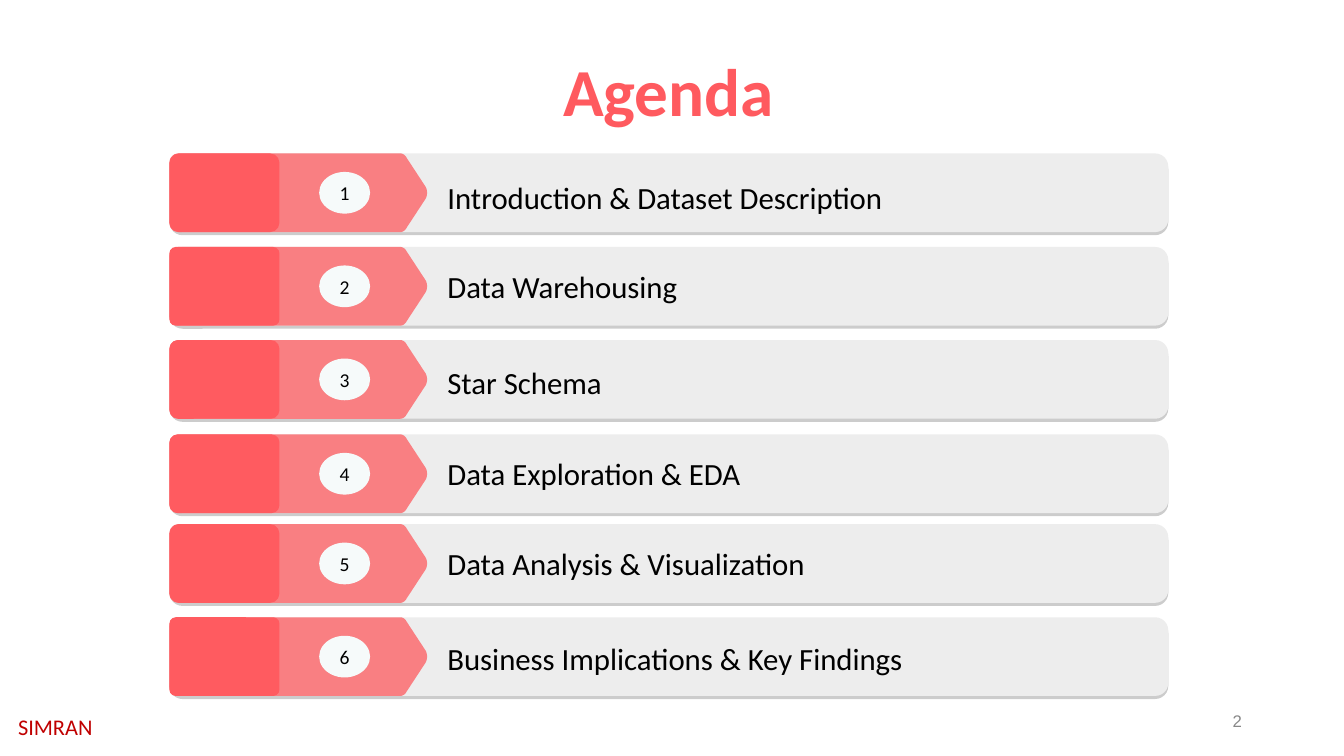
from dataclasses import dataclass

from lxml import etree
from pptx import Presentation
from pptx.dml.color import RGBColor
from pptx.enum.shapes import MSO_SHAPE
from pptx.enum.text import MSO_ANCHOR, MSO_AUTO_SIZE, PP_ALIGN
from pptx.oxml.ns import qn
from pptx.util import Pt

ROUND, OVAL = MSO_SHAPE.ROUNDED_RECTANGLE, MSO_SHAPE.OVAL
MIDDLE, TOP = MSO_ANCHOR.MIDDLE, MSO_ANCHOR.TOP
LEFT, CENTER, RIGHT = PP_ALIGN.LEFT, PP_ALIGN.CENTER, PP_ALIGN.RIGHT
FIXED = MSO_AUTO_SIZE.NONE

BAR_X, BAR_W, BAR_H = 121, 713.5, 56.2
STEPS = 8
ARROW = [
    ((6.5, 0), (2.9, 0), (0, 2.9), (0, 6.8)),
    ((0, 49.4), (0, 53.3), (2.9, 56.2), (6.5, 56.2)),
    ((165, 56.2), (166.5, 56.2), (168.5, 55), (169.3, 53.3)),
    ((183, 32.4), (184.4, 29.8), (184.4, 26.4), (183, 23.8)),
    ((169.3, 2.9), (168.5, 1.2), (166.5, 0), (165, 0)),
]


@dataclass
class Row:
    label: str
    top: float
    text_top: float
    corner: float


ROWS = [
    Row("Introduction & Dataset Description", 109.6, 106.2, 0.12),
    Row("Data Warehousing", 176.4, 169.4, 0.08),
    Row("Star Schema", 242.9, 238.3, 0.11),
    Row("Data Exploration & EDA", 310.3, 303.4, 0.1),
    Row("Data Analysis & Visualization", 374.4, 367.7, 0.12),
    Row("Business Implications & Key Findings", 440.9, 435.5, 0.08),
]


def color(code: str) -> RGBColor:
    return RGBColor.from_string(code)


def write(shape, text: str, *, size: float, ink: str = "000000",
          font: str = "Calibri", bold: bool = False, align=LEFT,
          anchor=MIDDLE, pad: float = 7.2, line: float = 1.0) -> None:
    frame = shape.text_frame
    frame.word_wrap = True
    frame.auto_size = FIXED
    frame.vertical_anchor = anchor
    frame.margin_left = frame.margin_right = Pt(7.2)
    frame.margin_top = frame.margin_bottom = Pt(pad)
    para = frame.paragraphs[0]
    para.alignment = align
    para.line_spacing = line
    run = para.add_run()
    run.text = text
    run.font.name = font
    run.font.size = Pt(size)
    run.font.bold = bold
    run.font.color.rgb = color(ink)


def add_text(slide, text: str, x: float, y: float, w: float, h: float,
             **style) -> None:
    write(slide.shapes.add_textbox(Pt(x), Pt(y), Pt(w), Pt(h)), text, **style)


def paint(shape, fill: str) -> None:
    shape.shadow.inherit = False
    shape.fill.solid()
    shape.fill.fore_color.rgb = color(fill)
    shape.line.fill.background()


def add_box(slide, kind, x: float, y: float, w: float, h: float, fill: str):
    shape = slide.shapes.add_shape(kind, Pt(x), Pt(y), Pt(w), Pt(h))
    paint(shape, fill)
    return shape


def add_shade(shape) -> None:
    effects = shape._element.spPr.find(qn("a:effectLst"))
    shade = etree.SubElement(effects, qn("a:outerShdw"), dist=str(Pt(2.2)),
                             dir="5400000", algn="t", rotWithShape="0")
    tint = etree.SubElement(shade, qn("a:srgbClr"), val="000000")
    etree.SubElement(tint, qn("a:alpha"), val="20000")


def bend(curve) -> list[tuple[float, float]]:
    points = []
    for step in range(STEPS + 1):
        t = step / STEPS
        parts = ((1 - t) ** 3, 3 * t * (1 - t) ** 2, 3 * t * t * (1 - t), t ** 3)
        points.append((sum(p * c[0] for p, c in zip(parts, curve)),
                       sum(p * c[1] for p, c in zip(parts, curve))))
    return points


def add_arrow(slide, x: float, y: float) -> None:
    points = [(Pt(x + a), Pt(y + b)) for curve in ARROW for a, b in bend(curve)]
    path = slide.shapes.build_freeform(*points[0])
    path.add_line_segments(points[1:], close=True)
    paint(path.convert_to_shape(), "F97F82")


def add_row(slide, number: int, row: Row) -> None:
    bar = add_box(slide, ROUND, BAR_X, row.top, BAR_W, BAR_H, "EDEDED")
    bar.adjustments[0] = 0.167
    add_shade(bar)
    add_arrow(slide, BAR_X, row.top)
    block = add_box(slide, ROUND, BAR_X, row.top, 78.6, BAR_H, "FF5B60")
    block.adjustments[0] = row.corner
    badge = add_box(slide, OVAL, 228, row.top + 13.2, 36.4, 29.8, "F6FAFA")
    write(badge, str(number), size=14, align=CENTER)
    add_text(slide, row.label, 312.5, row.text_top, 627, 69.8, size=22)


def main() -> None:
    deck = Presentation()
    deck.slide_width, deck.slide_height = Pt(960), Pt(540)
    slide = deck.slides.add_slide(deck.slide_layouts[5])
    title = slide.shapes.title
    title.left, title.top = Pt(75.6), Pt(38.2)
    title.width, title.height = Pt(804), Pt(59)
    write(title, "Agenda", size=48, ink="FF5A5F", bold=True, align=CENTER,
          pad=3.6, line=0.9)
    for number, row in enumerate(ROWS, 1):
        add_row(slide, number, row)
    add_text(slide, "SIMRAN", 5.8, 506.2, 178.6, 26.6, size=16, ink="C00000",
             anchor=TOP, pad=3.6)
    add_text(slide, "2", 678.2, 500.4, 216, 28.8, size=12, ink="888888",
             font="Arial", align=RIGHT, pad=3.6)
    deck.save("out.pptx")


if __name__ == "__main__":
    main()
